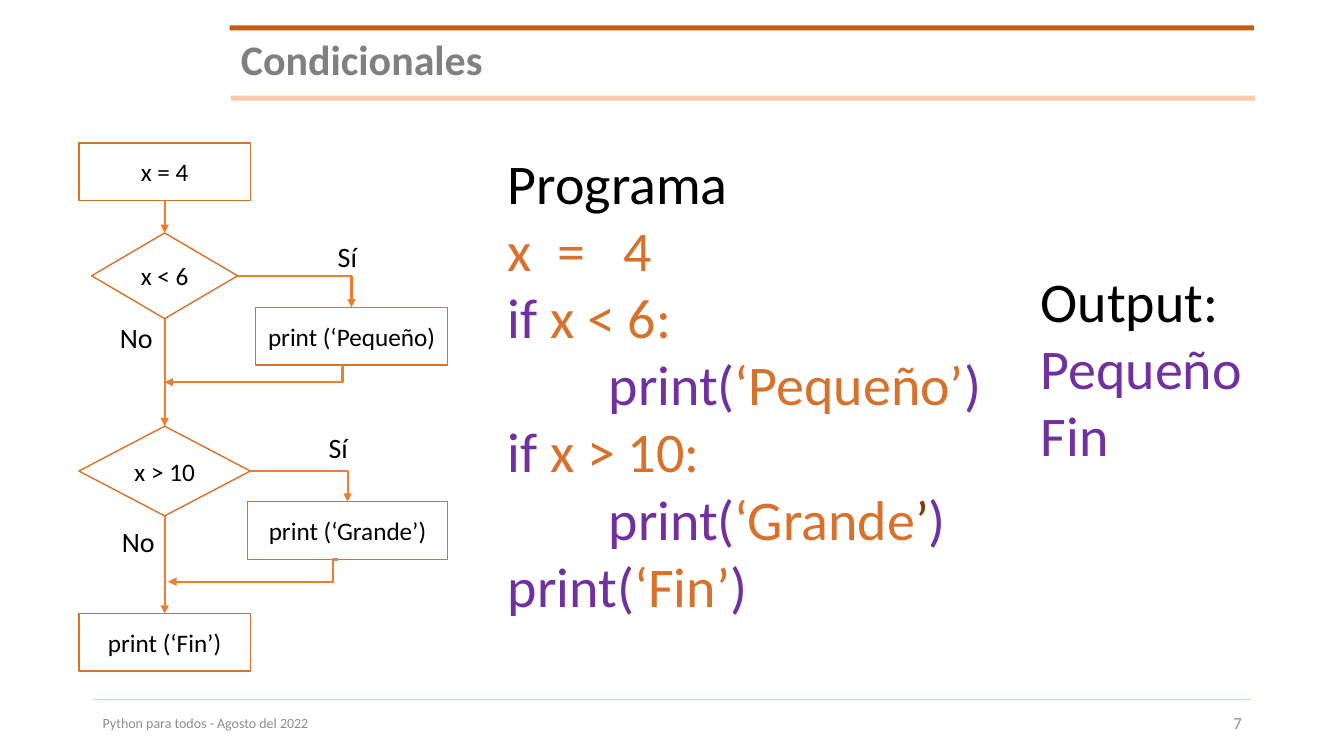
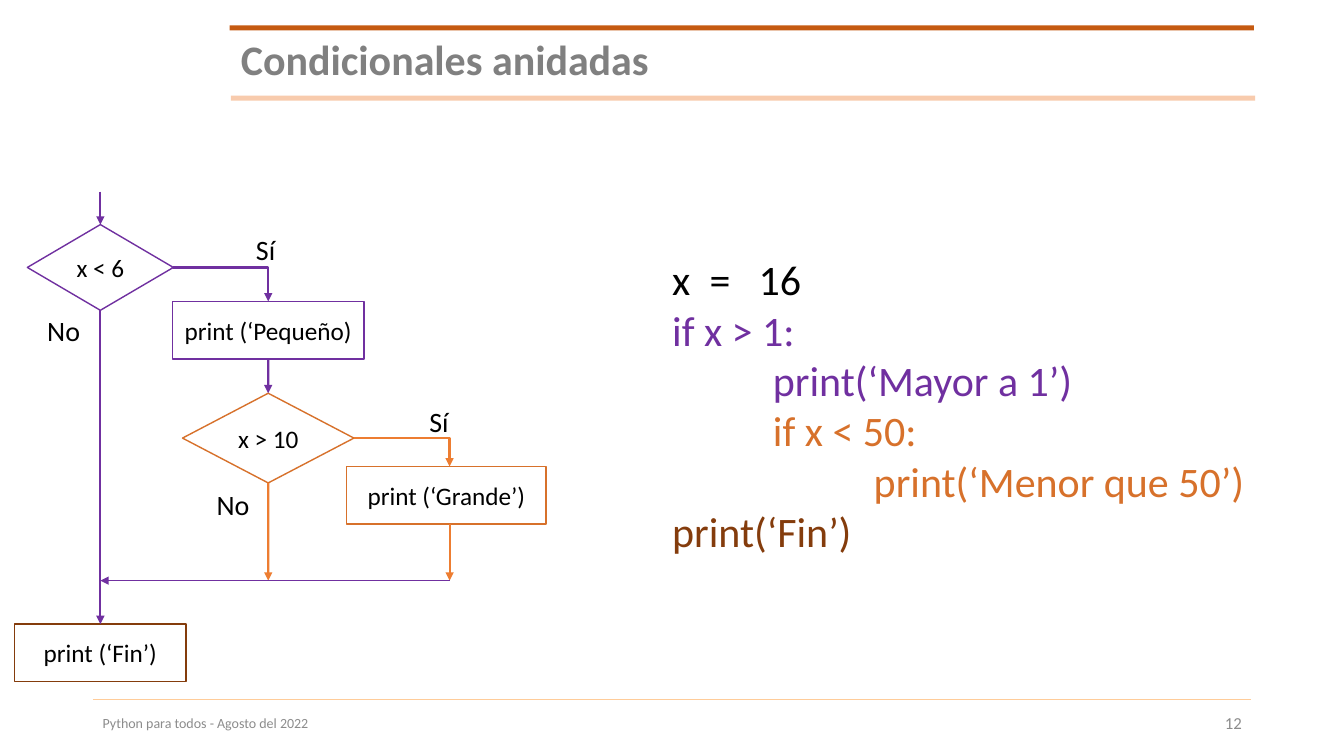
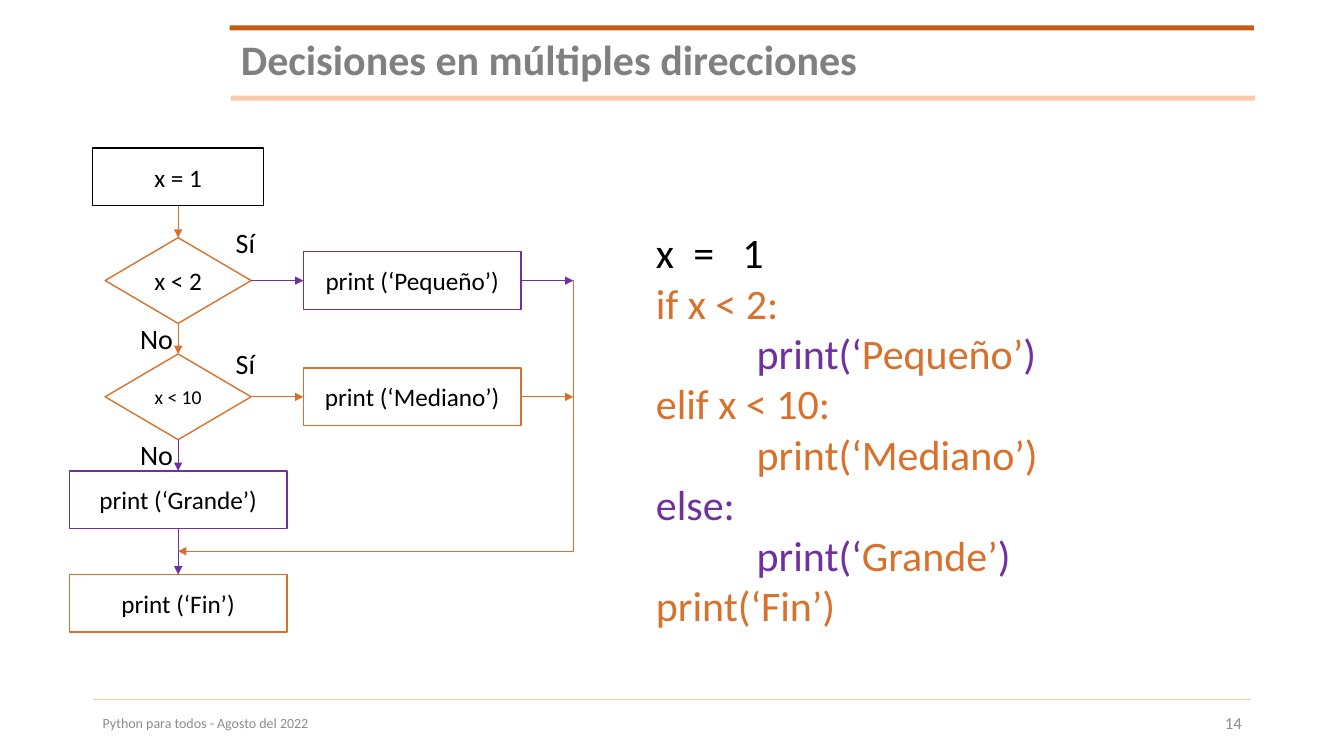
from dataclasses import dataclass

from lxml.etree import SubElement
from pptx import Presentation
from pptx.dml.color import RGBColor
from pptx.enum.shapes import MSO_CONNECTOR, MSO_SHAPE
from pptx.enum.text import MSO_ANCHOR, PP_ALIGN
from pptx.oxml.ns import qn
from pptx.util import Cm, Pt


@dataclass(frozen=True)
class Theme:
    font: str = "Calibri"
    black: str = "000000"
    white: str = "FFFFFF"
    gray: str = "808080"
    pale: str = "8C8C8C"
    rust: str = "C55A11"
    peach: str = "F8CBAD"
    sand: str = "FFCC99"
    orange: str = "D7712B"
    bright: str = "ED7D31"
    purple: str = "7030A0"
    brown: str = "843C0C"
    title: int = 30
    code: int = 30
    large: int = 40
    label: int = 20
    node: int = 18
    small: int = 14
    page: int = 12
    foot: int = 10
    thin: float = 0.5
    edge: float = 1
    thick: float = 1.5


T = Theme()
TOP, LEFT, BOTTOM, RIGHT = range(4)
INDENT = 2.54
STOPS = (0.89, 2.06)  # tab stops of an assignment, in ems
EM = 2.54 / 72        # centimetres per point
BOX_H = 1.45
ROMB = (3.68, 2.16)
WIDE = (4.32, 2.26)


def rgb(code):
    return RGBColor.from_string(code)


def write(frame, lines, size=T.node, color=T.black, bold=False,
          align=PP_ALIGN.LEFT, anchor=MSO_ANCHOR.TOP, space=None):
    """Fill a frame; a line is a string or (indent level, (text, color), ...)."""
    frame.word_wrap = True
    frame.vertical_anchor = anchor
    for i, line in enumerate(lines):
        level, *runs = (0, (line, color)) if isinstance(line, str) else line
        para = frame.add_paragraph() if i else frame.paragraphs[0]
        para.alignment = align
        if space:
            para.line_spacing = space
        props = para._p.get_or_add_pPr()
        if level:
            props.set("marL", str(Cm(level * INDENT)))
            props.set("indent", "0")
        if any("\t" in text for text, _ in runs):
            tabs = SubElement(props, qn("a:tabLst"))
            for stop in STOPS:
                SubElement(tabs, qn("a:tab"), pos=str(Cm(stop * size * EM)), algn="l")
        for text, hue in runs:
            run = para.add_run()
            run.text = text
            font = run.font
            font.name, font.size, font.bold = T.font, Pt(size), bold
            font.color.rgb = rgb(hue)


def spot(end):
    """Return the point of an end given as (x, y) in cm or as (shape, side)."""
    if isinstance(end[0], (int, float)):
        return Cm(end[0]), Cm(end[1])
    shape, side = end
    across, down = {TOP: (1, 0), LEFT: (0, 1), BOTTOM: (1, 2), RIGHT: (2, 1)}[side]
    return (shape.left + shape.width * across // 2,
            shape.top + shape.height * down // 2)


class Deck:
    def __init__(self):
        self.file = Presentation()
        self.file.slide_width, self.file.slide_height = Cm(33.87), Cm(19.05)
        self.slide = None

    def page(self, title, number):
        self.slide = self.file.slides.add_slide(self.file.slide_layouts[6])
        self.link((2.34, 17.63), (31.52, 17.63), T.sand, T.thin, head=False)
        self.shape(MSO_SHAPE.RECTANGLE, 5.79, 0.64, 25.81, 0.13, T.rust)
        self.shape(MSO_SHAPE.RECTANGLE, 5.82, 2.41, 25.81, 0.13, T.peach)
        mid = MSO_ANCHOR.MIDDLE
        self.text([title], 5.82, 0.84, 25.7, 1.45, size=T.title, color=T.gray,
                  bold=True, anchor=mid, space=0.9)
        self.text(["Python para todos - Agosto del 2022"], 2.34, 17.73, 21.59, 0.99,
                  size=T.foot, color=T.pale, anchor=mid)
        self.text([str(number)], 23.93, 17.73, 7.62, 0.99, size=T.page,
                  color=T.pale, align=PP_ALIGN.RIGHT, anchor=mid)

    def text(self, lines, x, y, w, h, **style):
        box = self.slide.shapes.add_textbox(Cm(x), Cm(y), Cm(w), Cm(h))
        write(box.text_frame, lines, **style)

    def shape(self, kind, x, y, w, h, fill, edge=None):
        item = self.slide.shapes.add_shape(kind, Cm(x), Cm(y), Cm(w), Cm(h))
        item.shadow.inherit = False
        item.fill.solid()
        item.fill.fore_color.rgb = rgb(fill)
        if edge:
            item.line.color.rgb = rgb(edge)
            item.line.width = Pt(T.edge)
        else:
            item.line.fill.background()
        return item

    def node(self, kind, text, x, y, w, h, edge, size):
        """Add a chart node centred on x, y."""
        item = self.shape(kind, x - w / 2, y - h / 2, w, h, T.white, edge)
        write(item.text_frame, [text], size=size, align=PP_ALIGN.CENTER,
              anchor=MSO_ANCHOR.MIDDLE)
        return item

    def box(self, text, x, y, w=4.32, edge=T.orange):
        return self.node(MSO_SHAPE.RECTANGLE, text, x, y, w, BOX_H, edge, T.node)

    def test(self, text, x, y, dims=ROMB, edge=T.orange, size=T.node):
        return self.node(MSO_SHAPE.FLOWCHART_DECISION, text, x, y, *dims, edge, size)

    def label(self, text, *spots):
        for x, y in spots:
            self.text([text], x, y, 1.52, 1.12, size=T.label)

    def link(self, start, end, color=T.bright, width=T.thick, head=True,
             corner=False, bend=None):
        """Join two ends: straight, with one corner, or bent at a share of the way."""
        elbow = corner or bend is not None
        kind = MSO_CONNECTOR.ELBOW if elbow else MSO_CONNECTOR.STRAIGHT
        line = self.slide.shapes.add_connector(kind, *spot(start), *spot(end))
        for tip, join in ((start, line.begin_connect), (end, line.end_connect)):
            if not isinstance(tip[0], (int, float)):
                join(*tip)
        line.line.color.rgb = rgb(color)
        line.line.width = Pt(width)
        props = line._element.spPr
        geom = props.find(qn("a:prstGeom"))
        if corner:
            geom.set("prst", "bentConnector2")
        if bend is not None:
            SubElement(geom.find(qn("a:avLst")), qn("a:gd"), name="adj1",
                       fmla=f"val {round(bend * 100000)}")
        if head:
            SubElement(props.find(qn("a:ln")), qn("a:tailEnd"), type="triangle")
        SubElement(props, qn("a:effectLst"))


def simple(deck):
    deck.page("Condicionales", 7)
    o, p = T.orange, T.purple
    deck.text([
        "Programa",
        (0, ("x\t=\t4", o)),
        (0, ("if ", p), ("x < 6:", o)),
        (1, ("print(", p), ("‘Pequeño’", o), (")", p)),
        (0, ("if ", p), ("x > 10:", o)),
        (1, ("print(", p), ("‘Grande", o), ("’", T.brown), (")", p)),
        (0, ("print(", p), ("‘Fin’", o), (")", p)),
    ], 12.55, 3.61, 12.93, 12.22, size=T.large)
    deck.text(["Output:", (0, ("Pequeño", p)), (0, ("Fin", p))],
              25.98, 6.58, 6.02, 5.38, size=T.large)

    axis = 4.15
    first = deck.box("x = 4", axis, 4.33)
    less = deck.test("x < 6", axis, 6.95)
    more = deck.test("x > 10", axis, 11.87, WIDE)
    low = deck.box("print (‘Pequeño)", 8.86, 8.47, 4.83)
    high = deck.box("print (‘Grande’)", 8.76, 13.37, 5.03)
    last = deck.box("print (‘Fin’)", axis, 16.19)
    chain = (first, less, more, last)
    for above, below in zip(chain, chain[1:]):
        deck.link((above, BOTTOM), (below, TOP))
    for test, step in ((less, low), (more, high)):
        deck.link((test, RIGHT), (step, TOP), corner=True)
    deck.link((8.53, 14.1), (4.24, 14.66), bend=0.034)
    deck.link((8.66, 9.25), (axis, 9.63), bend=0.006)
    deck.label("Sí", (8.26, 5.92), (8.03, 10.72))
    deck.label("No", (2.77, 7.95), (2.82, 13.08))


def nested(deck):
    deck.page("Condicionales anidadas", 12)
    o, p = T.orange, T.purple
    deck.text([
        "x\t=\t16",
        (0, ("if x > 1:", p)),
        (1, ("print(‘Mayor a 1’)", p)),
        (1, ("if x < 50:", o)),
        (2, ("print(‘Menor que 50’)", o)),
        (0, ("print(‘Fin’)", T.brown)),
    ], 16.69, 6.27, 16, 7.95, size=T.code)

    axis, inner, outer, merge = 2.53, 6.76, 11.33, 14.63
    less = deck.test("x < 6", axis, 6.74, edge=p)
    low = deck.box("print (‘Pequeño)", inner, 8.32, 4.83, p)
    high = deck.box("print (‘Grande’)", 11.25, 12.48, 5.03)
    last = deck.box("print (‘Fin’)", axis, 16.45, edge=T.brown)
    more = deck.test("x > 10", inner, 11.04, WIDE)
    deck.link((axis, 4.83), (less, TOP), p)
    deck.link((less, BOTTOM), (last, TOP), p)
    deck.link((less, RIGHT), (low, TOP), p, corner=True)
    deck.link((low, BOTTOM), (more, TOP), p)
    deck.link((more, RIGHT), (outer, high.top.cm), corner=True)
    deck.link((more, BOTTOM), (inner, merge))
    deck.link((outer, 13.2), (outer, merge))
    deck.link((outer, merge), (axis, merge), p, T.thin)
    deck.label("Sí", (6.2, 5.74), (10.57, 10.06))
    deck.label("No", (0.94, 7.77), (5.21, 12.17))


def multi(deck):
    deck.page("Decisiones en múltiples direcciones", 14)
    o, p = T.orange, T.purple
    axis, side, rail, wide = 4.49, 10.39, 14.45, 5.49
    rows = (7.07, 10)
    first = deck.box("x = 1", axis, 4.46, edge=T.black)
    two = deck.test("x < 2", axis, rows[0])
    ten = deck.test("x < 10", axis, rows[1], size=T.small)
    low = deck.box("print (‘Pequeño’)", side, rows[0], wide, p)
    mid = deck.box("print (‘Mediano’)", side, rows[1], wide)
    high = deck.box("print (‘Grande’)", axis, 12.59, wide, p)
    last = deck.box("print (‘Fin’)", axis, 15.2, wide)
    chain = (first, two, ten, high, last)
    for above, below, hue in zip(chain, chain[1:], (o, o, p, p)):
        deck.link((above, BOTTOM), (below, TOP), hue, T.thin)
    for test, step, y, hue in zip((two, ten), (low, mid), rows, (p, o)):
        deck.link((test, RIGHT), (step, LEFT), hue, T.thin)
        deck.link((step, RIGHT), (rail, y), hue, T.thin)
    deck.link((rail, rows[0]), (axis, 13.89), o, T.thin, bend=0.001)
    deck.text([
        "x\t=\t1",
        (0, ("if x < 2:", o)),
        (1, ("print(‘", p), ("Pequeño’", o), (")", p)),
        (0, ("elif x < 10:", o)),
        (1, ("print(‘Mediano’)", o)),
        (0, ("else:", p)),
        (1, ("print(‘", p), ("Grande’", o), (")", p)),
        (0, ("print(‘Fin’)", o)),
    ], 16.28, 5.59, 16, 10.52, size=T.code)
    deck.label("Sí", (5.69, 5.56), (5.69, 8.61))
    deck.label("No", (3.28, 7.98), (3.28, 10.9))


def main():
    deck = Deck()
    for build in (simple, nested, multi):
        build(deck)
    deck.file.save("out.pptx")


if __name__ == "__main__":
    main()
